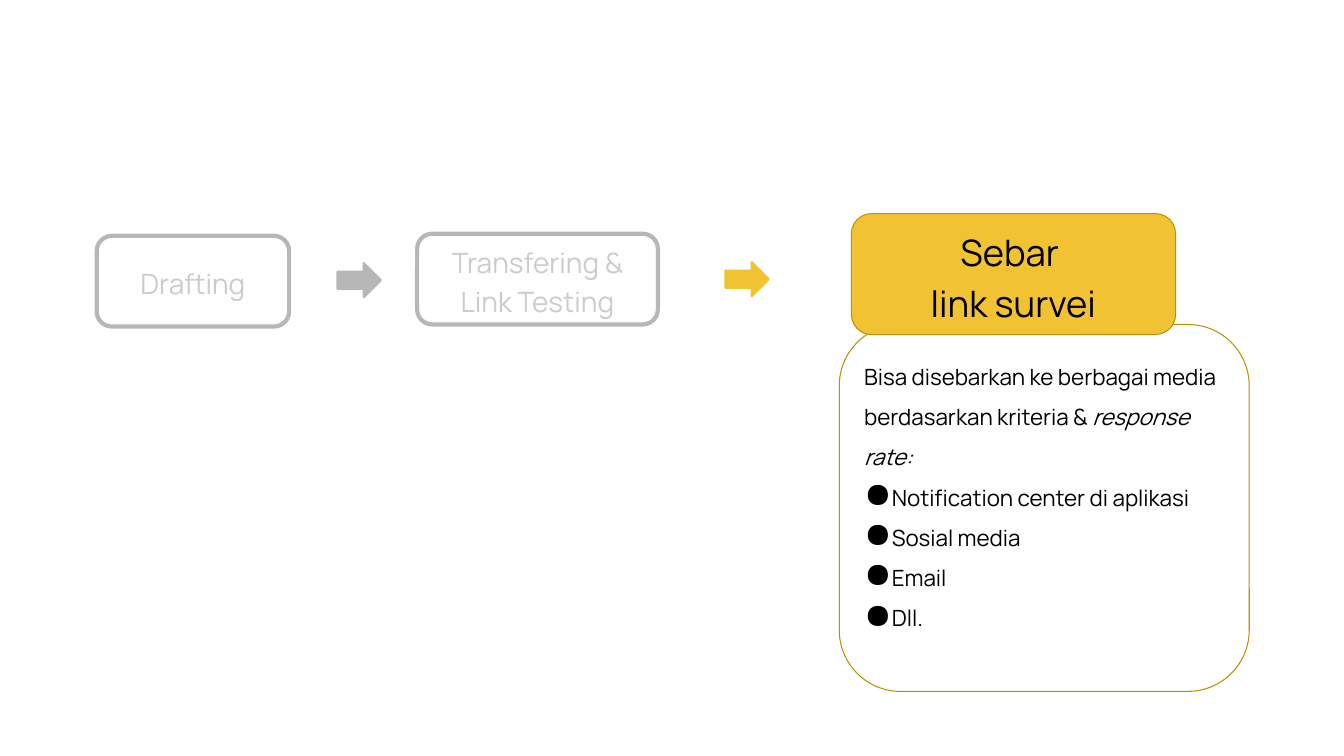
from lxml import etree
from pptx import Presentation
from pptx.dml.color import RGBColor
from pptx.enum import shapes, text
from pptx.oxml import ns
from pptx.util import Pt

GREY, PALE = "B7B7B7", "CCCCCC"
GOLD, DARK_GOLD = "F1C232", "BF9000"
BLACK, WHITE = "000000", "FFFFFF"


def color(value):
    return RGBColor.from_string(value)


class SlideBuilder:
    font_name = "Manrope"
    inset = 5
    corner = 0.167

    def __init__(self, slide):
        self.slide = slide

    def shape(self, kind, box, fill, line, width):
        shape = self.slide.shapes.add_shape(kind, *map(Pt, box))
        shape.shadow.inherit = False
        if fill:
            shape.fill.solid()
            shape.fill.fore_color.rgb = color(fill)
        else:
            shape.fill.background()
        shape.line.color.rgb = color(line)
        shape.line.width = Pt(width)
        return shape

    def card(self, box, fill, line, width, anchor=text.MSO_ANCHOR.MIDDLE):
        shape = self.shape(shapes.MSO_SHAPE.ROUNDED_RECTANGLE, box, fill, line, width)
        shape.adjustments[0] = self.corner
        frame = shape.text_frame
        frame.word_wrap = True
        frame.vertical_anchor = anchor
        frame.margin_left = frame.margin_right = Pt(self.inset)
        frame.margin_top = frame.margin_bottom = Pt(self.inset)
        return frame

    def arrow(self, left, top, fill):
        self.shape(shapes.MSO_SHAPE.RIGHT_ARROW, (left, top, 31, 24.5), fill, fill, 1.5)

    def paragraphs(self, frame, lines, size, ink, align=text.PP_ALIGN.CENTER,
                   spacing=1.15, first_bullet=None):
        """Each line is a list of (words, italic) runs."""
        for index, runs in enumerate(lines):
            paragraph = frame.paragraphs[0] if index == 0 else frame.add_paragraph()
            paragraph.alignment = align
            paragraph.line_spacing = spacing
            if first_bullet is not None and index >= first_bullet:
                self.bullet(paragraph, ink)
            font = paragraph.font
            font.name, font.size = self.font_name, Pt(size)
            font.color.rgb = color(ink)
            for words, italic in runs:
                run = paragraph.add_run()
                run.text = words
                if italic:
                    run.font.italic = True

    def bullet(self, paragraph, ink):
        properties = paragraph._p.get_or_add_pPr()
        properties.set("marL", "0")
        properties.set("indent", "0")
        bullet_color = etree.SubElement(properties, ns.qn("a:buClr"))
        etree.SubElement(bullet_color, ns.qn("a:srgbClr"), val=ink)
        etree.SubElement(properties, ns.qn("a:buSzPct"), val="156000")
        etree.SubElement(properties, ns.qn("a:buChar"), char="●")


def main():
    presentation = Presentation()
    presentation.slide_width, presentation.slide_height = Pt(960.5), Pt(540)
    builder = SlideBuilder(presentation.slides.add_slide(presentation.slide_layouts[6]))

    # Earlier steps, greyed out
    steps = [
        ("Drafting", (69.1, 168.5, 137.5, 64.8)),
        ("Transfering & Link Testing", (298.1, 167, 172.1, 64.8)),
    ]
    for label, box in steps:
        frame = builder.card(box, WHITE, GREY, 3)
        builder.paragraphs(frame, [[(label, False)]], 20, PALE)

    # Details of the current step
    media = ["Notification center di aplikasi", "Sosial media", "Email", "Dll."]
    intro = [("Bisa disebarkan ke berbagai media berdasarkan kriteria & ", False),
             ("response rate:", True)]
    details = builder.card((599.8, 231.8, 293, 262.1), None, DARK_GOLD, 0.75,
                           text.MSO_ANCHOR.TOP)
    builder.paragraphs(details, [intro] + [[(name, False)] for name in media], 16, BLACK,
                       text.PP_ALIGN.LEFT, 1.5, first_bullet=1)

    # Current step
    current = builder.card((608.4, 152.6, 231.8, 86.4), GOLD, DARK_GOLD, 0.75)
    builder.paragraphs(current, [[("Sebar ", False)], [("link survei", False)]], 26, BLACK)

    # Arrows between steps
    builder.arrow(241.2, 187.9, GREY)
    builder.arrow(518.4, 187.2, GOLD)

    presentation.save("out.pptx")


if __name__ == "__main__":
    main()
